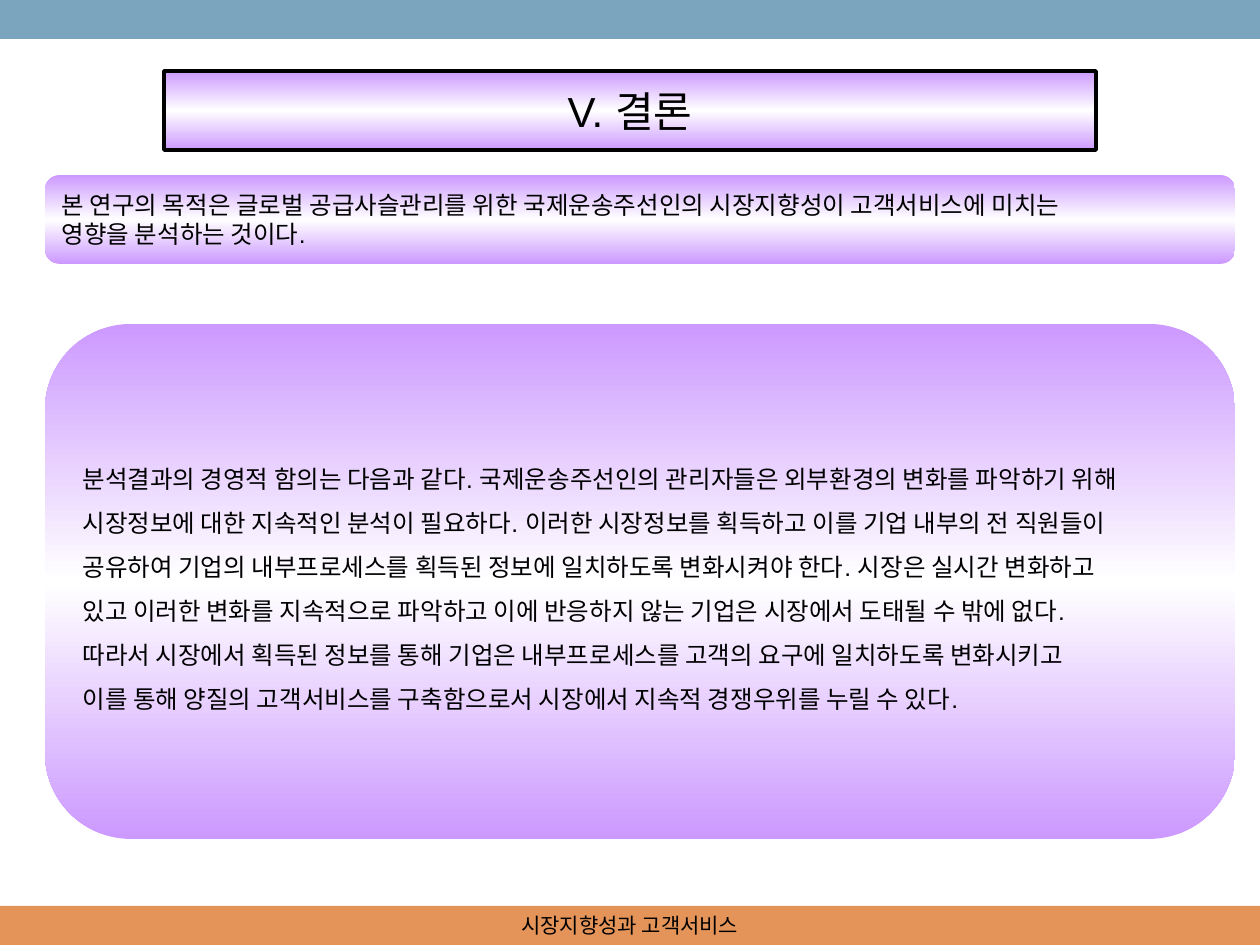
from copy import deepcopy

from pptx import Presentation
from pptx.dml.color import RGBColor
from pptx.enum.shapes import MSO_SHAPE
from pptx.enum.text import MSO_ANCHOR, MSO_AUTO_SIZE, PP_ALIGN
from pptx.oxml import parse_xml
from pptx.oxml.ns import nsdecls
from pptx.util import Pt

RECT, ROUNDED = MSO_SHAPE.RECTANGLE, MSO_SHAPE.ROUNDED_RECTANGLE
MIDDLE = MSO_ANCHOR.MIDDLE
NO_AUTOFIT = MSO_AUTO_SIZE.NONE
LEFT, CENTER = PP_ALIGN.LEFT, PP_ALIGN.CENTER
TITLE_ONLY = 5
EMU_PER_PX = 914400 / 126
WIDTH, HEIGHT = 1260, 945

PURPOSE = [
    "본 연구의 목적은 글로벌 공급사슬관리를 위한 국제운송주선인의 시장지향성이 고객서비스에 미치는",
    "영향을 분석하는 것이다.",
]
IMPLICATIONS = [
    "분석결과의 경영적 함의는 다음과 같다. 국제운송주선인의 관리자들은 외부환경의 변화를 파악하기 위해",
    "시장정보에 대한 지속적인 분석이 필요하다. 이러한 시장정보를 획득하고 이를 기업 내부의 전 직원들이",
    "공유하여 기업의 내부프로세스를 획득된 정보에 일치하도록 변화시켜야 한다. 시장은 실시간 변화하고",
    "있고 이러한 변화를 지속적으로 파악하고 이에 반응하지 않는 기업은 시장에서 도태될 수 밖에 없다.",
    "따라서 시장에서 획득된 정보를 통해 기업은 내부프로세스를 고객의 요구에 일치하도록 변화시키고",
    "이를 통해 양질의 고객서비스를 구축함으로서 시장에서 지속적 경쟁우위를 누릴 수 있다.",
]


def px(n):
    return round(n * EMU_PER_PX)


def rgb(value):
    return RGBColor.from_string(value)


class SlideBuilder:
    font, text_color = "Arial", "000000"
    edge, center = "CC99FF", "FFFFFF"

    def __init__(self, slide):
        self.slide = slide

    def set_text(self, s, lines, size, align=LEFT, spacing=1.0, font=None):
        tf = s.text_frame
        tf.text = "\n".join(lines)
        tf.word_wrap = True
        tf.auto_size = NO_AUTOFIT
        tf.vertical_anchor = MIDDLE
        for p in tf.paragraphs:
            p.alignment = align
            p.line_spacing = spacing
            for r in p.runs:
                r.font.size = Pt(size)
                r.font.name = font or self.font
                r.font.color.rgb = rgb(self.text_color)

    def glow(self, s):
        """Fill from the edge colour to the centre colour and back, top to bottom."""
        s.fill.gradient()
        s.fill.gradient_angle = 270
        stop_list = s.element.spPr.find(".//{*}gsLst")
        stop_list.append(deepcopy(stop_list[-1]))
        colors = (self.edge, self.center, self.edge)
        for i, (stop, color) in enumerate(zip(s.fill.gradient_stops, colors)):
            stop.position = i / 2
            stop.color.rgb = rgb(color)

    def shape(self, kind, x, y, w, h):
        s = self.slide.shapes.add_shape(kind, px(x), px(y), px(w), px(h))
        s.shadow.inherit = False
        s.line.fill.background()
        return s

    def bar(self, y, h, color):
        s = self.shape(RECT, 0, y, WIDTH, h)
        s.fill.solid()
        s.fill.fore_color.rgb = rgb(color)

    def panel(self, y, h, lines, spacing=1.0):
        s = self.shape(ROUNDED, 45, y, 1190, h)
        self.glow(s)
        self.set_text(s, lines, 14, spacing=spacing)

    def title(self, x, y, w, h, text):
        s = self.slide.shapes.title
        s.left, s.top, s.width, s.height = px(x), px(y), px(w), px(h)
        s.element.spPr.append(parse_xml(
            f'<a:prstGeom {nsdecls("a")} prst="roundRect"><a:avLst/></a:prstGeom>'))
        self.glow(s)
        s.line.color.rgb = rgb("000000")
        s.line.width = Pt(2)
        self.set_text(s, [text], 24, CENTER)

    def label(self, x, y, w, h, text):
        s = self.slide.shapes.add_textbox(px(x), px(y), px(w), px(h))
        self.set_text(s, [text], 12, CENTER, font="Cambria")


def main():
    prs = Presentation()
    prs.slide_width, prs.slide_height = px(WIDTH), px(HEIGHT)
    slide = SlideBuilder(prs.slides.add_slide(prs.slide_layouts[TITLE_ONLY]))

    slide.bar(906, 39, "E49458")
    slide.bar(0, 39, "7BA5BE")
    slide.label(430, 906, 400, 39, "시장지향성과 고객서비스")
    slide.title(164, 71, 932, 79, "V. 결론")
    slide.panel(175, 89, PURPOSE)
    slide.panel(324, 515, IMPLICATIONS, spacing=1.5)

    prs.save("out.pptx")


if __name__ == "__main__":
    main()
